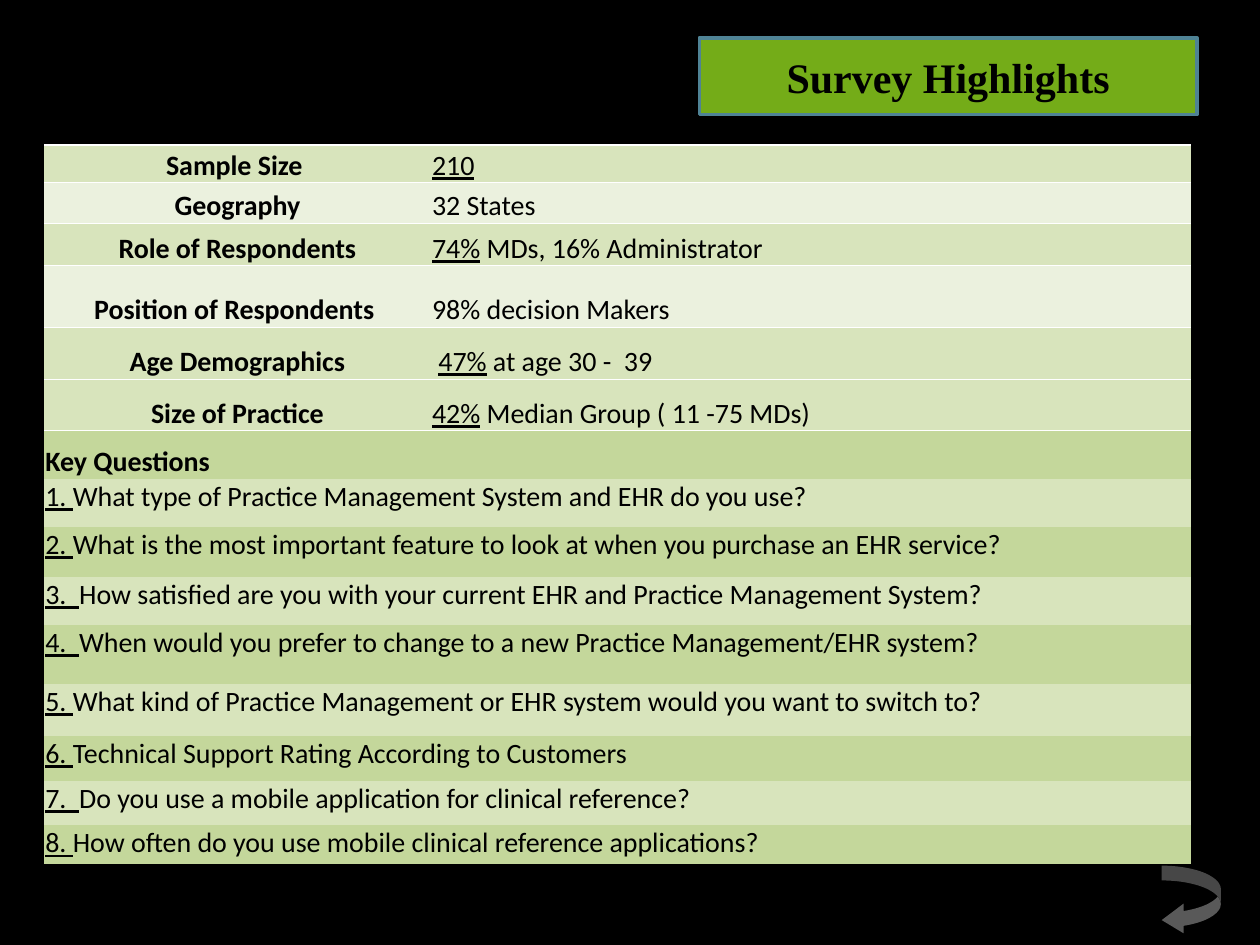
from pptx import Presentation
from pptx.dml.color import RGBColor
from pptx.enum.shapes import MSO_SHAPE as Shape
from pptx.enum.text import MSO_ANCHOR as Anchor, PP_ALIGN as Align
from pptx.oxml import parse_xml
from pptx.oxml.ns import nsdecls
from pptx.util import Inches, Pt

BLACK = RGBColor(0, 0, 0)
GREEN = RGBColor(0x74, 0xAC, 0x18)
BLUE = RGBColor(0x4F, 0x83, 0x95)
GREY = RGBColor(0x59, 0x59, 0x59)
PALE = RGBColor(0xEB, 0xF1, 0xDE)
LIGHT = RGBColor(0xD8, 0xE4, 0xBC)
DEEP = RGBColor(0xC4, 0xD7, 0x9B)

# Each fact: label, then (text, underlined) pieces, then fill
FACTS = [
    ("Sample Size ", [("210", True)], LIGHT),
    ("Geography", [("32 States", False)], PALE),
    ("Role of Respondents",
     [("74%", True), (" MDs, 16% Administrator", False)], LIGHT),
    ("Position of Respondents ", [("98% decision Makers", False)], PALE),
    (" Age Demographics ",
     [(" ", False), ("47%", True), (" at age 30 -  39", False)], LIGHT),
    ("Size of Practice",
     [("42%", True), (" Median Group ( 11 -75 MDs)", False)], LIGHT),
]
ASKS = [
    ("1. ", "What type of Practice Management System and EHR do you use?"),
    ("2. ", "What is the most important feature to look at when you "
            "purchase an EHR service?"),
    ("3.  ", "How satisfied are you with your current EHR and Practice "
             "Management System?"),
    ("4.  ", "When would you prefer to change to a new Practice "
             "Management/EHR system?"),
    ("5. ", "What kind of Practice Management or EHR system would you "
            "want to switch to?"),
    ("6. ", "Technical Support Rating According to Customers"),
    ("7.  ", "Do you use a mobile application for clinical reference?"),
    ("8. ", "How often do you use mobile clinical reference applications?"),
]
HIGHS = [0.3, 0.32, 0.34, 0.49, 0.41, 0.41, 0.38,
         0.38, 0.4, 0.38, 0.47, 0.41, 0.36, 0.35, 0.31]
PLAIN = "{2D5ABB26-0587-4C30-8999-92F81FD0307C}"  # no style, no grid


def fill_cell(cell, parts, color, bold=False, align=Align.LEFT,
              anchor=Anchor.BOTTOM):
    cell.margin_left = cell.margin_right = cell.margin_top = Inches(0.01)
    cell.margin_bottom = 0
    cell.vertical_anchor = anchor
    cell.fill.solid()
    cell.fill.fore_color.rgb = color
    para = cell.text_frame.paragraphs[0]
    para.alignment = align
    font = para.font
    font.name, font.size, font.bold = "Calibri", Pt(16), bold
    font.color.rgb = BLACK
    for text, under in parts:
        run = para.add_run()
        run.text = text
        if under:
            run.font.underline = True


def rule_cell(cell, top, bottom):
    props = cell._tc.get_or_add_tcPr()
    edges = [("lnT", top), ("lnB", bottom)]
    for spot, (tag, width) in enumerate(edges):
        paint = ('<a:solidFill><a:srgbClr val="FFFFFF"/></a:solidFill>'
                 if width else "<a:noFill/>")
        props.insert(spot, parse_xml(
            f'<a:{tag} {nsdecls("a")} w="{Pt(width)}">{paint}</a:{tag}>'))


deck = Presentation()
deck.slide_width, deck.slide_height = Inches(10), Inches(7.5)
slide = deck.slides.add_slide(deck.slide_layouts[6])
slide.background.fill.solid()
slide.background.fill.fore_color.rgb = BLACK

# Title box
title = slide.shapes.add_shape(
    Shape.RECTANGLE, Inches(5.55), Inches(0.3), Inches(3.95), Inches(0.61))
title.shadow.inherit = False
title.fill.solid()
title.fill.fore_color.rgb = GREEN
title.line.color.rgb = BLUE
title.line.width = Pt(2)
title.text_frame.vertical_anchor = Anchor.MIDDLE
para = title.text_frame.paragraphs[0]
para.text = "Survey Highlights"
para.alignment = Align.CENTER
font = para.font
font.name, font.size, font.bold = "Times New Roman", Pt(24), True
font.color.rgb = BLACK

# Return arrow
arrow = slide.shapes.add_shape(
    Shape.CURVED_LEFT_ARROW,
    Inches(9.22), Inches(6.87), Inches(0.47), Inches(0.55))
arrow.shadow.inherit = False
arrow.adjustments[2] = 0.37
arrow.fill.solid()
arrow.fill.fore_color.rgb = GREY
arrow.line.fill.background()

# Survey table
frame = slide.shapes.add_table(
    len(HIGHS), 2, Inches(0.35), Inches(1.15), Inches(9.1), Inches(5.72))
table = frame.table
table.first_row = table.horz_banding = False
table._tbl.tblPr.find("{*}tableStyleId").text = PLAIN
for col, wide in zip(table.columns, [3.07, 6.03]):
    col.width = Inches(wide)
for row, high in zip(table.rows, HIGHS):
    row.height = Inches(high)

# Facts about the sample
for i, (label, parts, color) in enumerate(FACTS):
    fill_cell(table.cell(i, 0), [(label, False)], color, True, Align.CENTER)
    fill_cell(table.cell(i, 1), parts, color)
    for j in range(2):
        rule_cell(table.cell(i, j), 0.5 if i else 1.5, 0.5)

# Heading of the questions
head = len(FACTS)
for j, parts in enumerate([[("Key Questions", False)], []]):
    fill_cell(table.cell(head, j), parts, DEEP, True)
    rule_cell(table.cell(head, j), 0.5, 0)

# Questions across both columns
for i, (mark, text) in enumerate(ASKS):
    cell = table.cell(head + 1 + i, 0)
    cell.merge(table.cell(head + 1 + i, 1))
    fill_cell(cell, [(mark, True), (text, False)],
              DEEP if i % 2 else LIGHT, anchor=Anchor.TOP)

deck.save("out.pptx")
